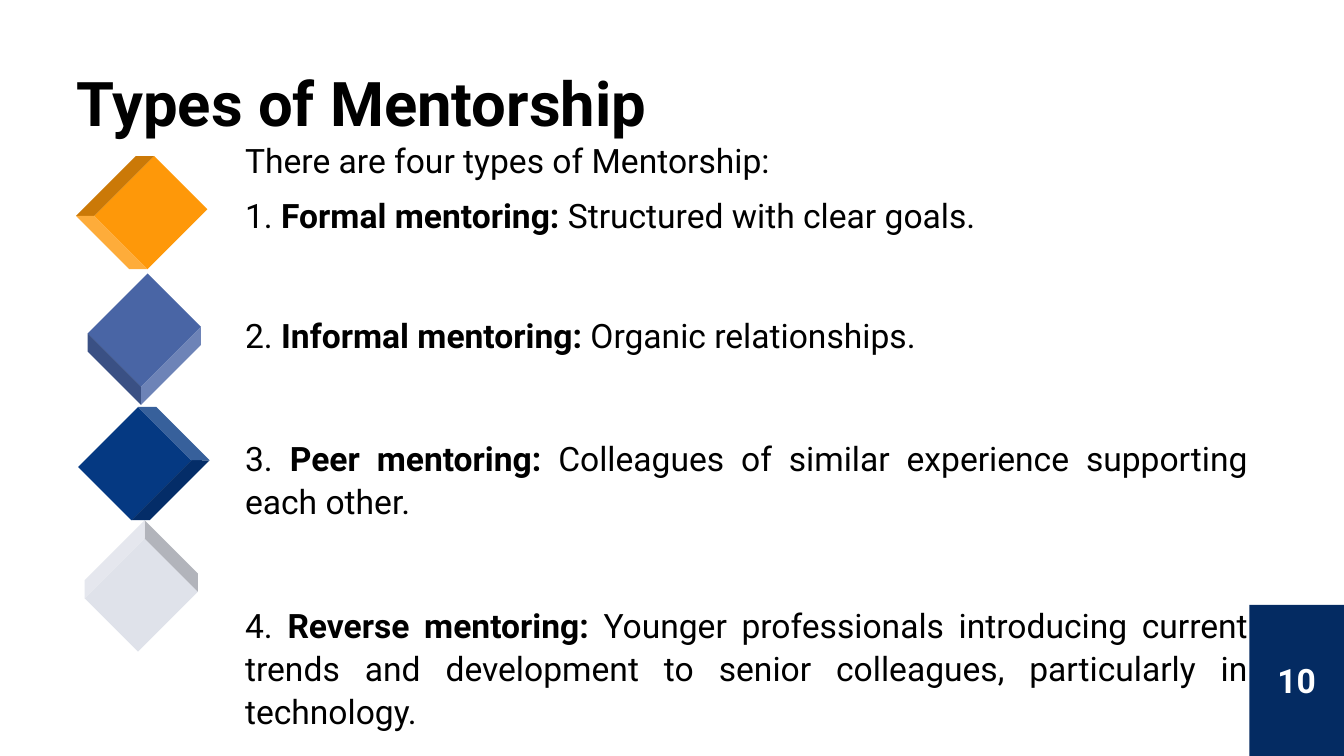
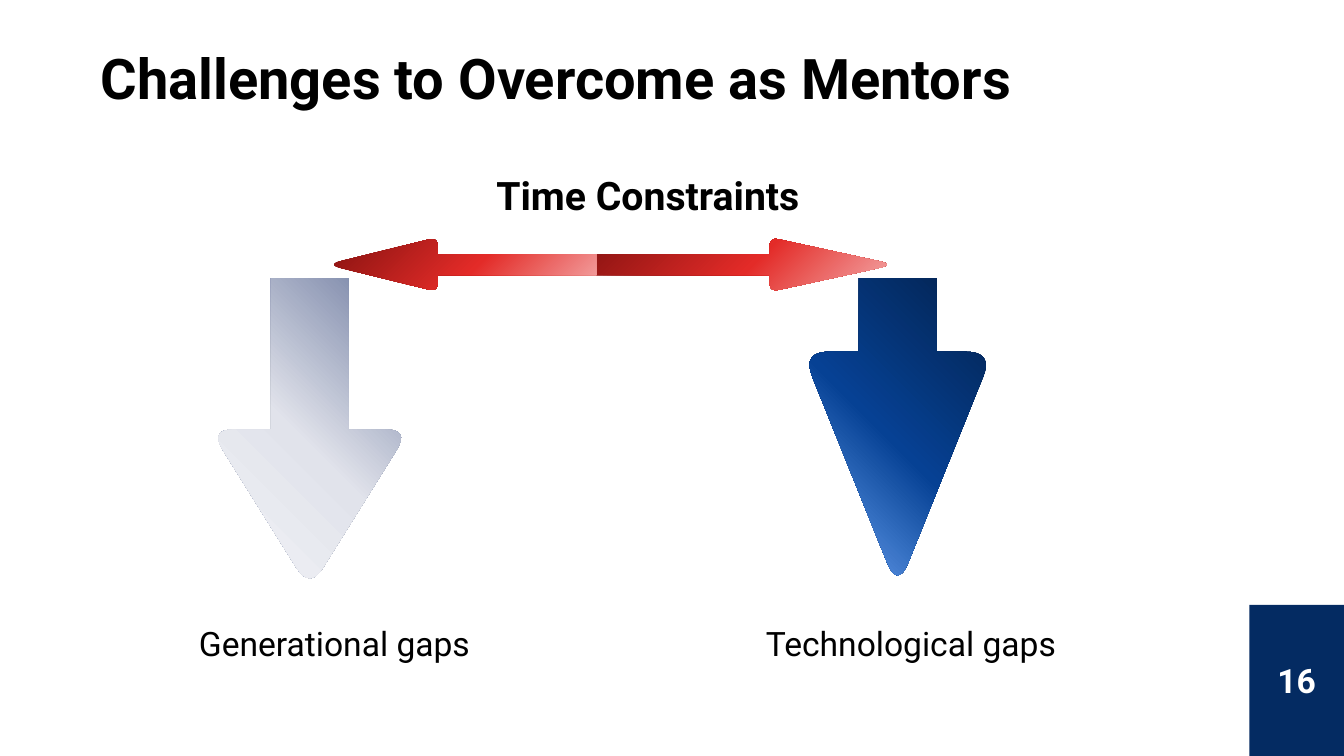
from math import hypot

from lxml import etree
from pptx import Presentation
from pptx.dml.color import RGBColor
from pptx.enum.shapes import MSO_SHAPE
from pptx.enum.text import MSO_ANCHOR, PP_ALIGN
from pptx.oxml import parse_xml
from pptx.oxml.ns import nsdecls, qn
from pptx.util import Emu, Pt

EMU_PER_PX = 9525
CUBE, RECT = MSO_SHAPE.CUBE, MSO_SHAPE.RECTANGLE
TOP, MIDDLE = MSO_ANCHOR.TOP, MSO_ANCHOR.MIDDLE
LEFT, CENTER, JUSTIFY = PP_ALIGN.LEFT, PP_ALIGN.CENTER, PP_ALIGN.JUSTIFY

FONT = "Roboto"
BLACK, WHITE, NAVY = "000000", "FFFFFF", "042B62"
ORANGE, BLUE, DARK_BLUE, PALE = "FE9809", "4965A5", "053982", "DFE2EA"
# Gradients run from the light corner outwards
RED_FADE = ("F3A6A5", "E32B28", "881311")
GREY_FADE = ("F2F3F7", "E1E3EB", "717EA2")
BLUE_FADE = ("6FA8F9", "064194", "03224E")


def px(n):
    return Emu(round(n * EMU_PER_PX))


def rgb(hex_string):
    return RGBColor.from_string(hex_string)


def rounded(corners, steps=8):
    """Turn (x, y, radius) corners into outline points with curved corners."""
    points = []
    for i, (x, y, radius) in enumerate(corners):
        if not radius:
            points.append((x, y))
            continue
        ends = []
        for nx, ny, _ in (corners[i - 1], corners[(i + 1) % len(corners)]):
            t = radius / hypot(nx - x, ny - y)
            ends.append((x + (nx - x) * t, y + (ny - y) * t))
        (ax, ay), (bx, by) = ends
        for k in range(steps + 1):
            t = k / steps
            a, c, b = (1 - t) ** 2, 2 * t * (1 - t), t ** 2
            points.append((a * ax + c * x + b * bx, a * ay + c * y + b * by))
    return points


class Deck:
    def __init__(self):
        self.prs = Presentation()
        self.prs.slide_width, self.prs.slide_height = px(1280), px(720)
        self.s = None

    def slide(self, number):
        self.s = self.prs.slides.add_slide(self.prs.slide_layouts[6])
        sp = self.shape(RECT, 1190, 576, 90, 144, NAVY)
        sp.text_frame.vertical_anchor = MIDDLE
        sp.text_frame.text = str(number)
        self.style(sp.text_frame.paragraphs[0], 24, True, CENTER, WHITE)

    def style(self, p, size, bold=False, align=LEFT, color=BLACK):
        p.alignment = align
        for r in p.runs:
            r.font.name, r.font.size, r.font.bold = FONT, Pt(size), bold
            r.font.color.rgb = rgb(color)

    def text_box(self, x, y, w, h, anchor=TOP):
        tf = self.s.shapes.add_textbox(px(x), px(y), px(w), px(h)).text_frame
        tf.word_wrap = True
        tf.vertical_anchor = anchor
        return tf

    def label(self, text, x, y, w, h, size=24, bold=False, align=LEFT):
        tf = self.text_box(x, y, w, h)
        tf.text = text
        self.style(tf.paragraphs[0], size, bold, align)

    def title(self, text, x, y, size):
        tf = self.text_box(x, y, 1055, 75, MIDDLE)
        tf.margin_left = tf.margin_right = 0
        tf.margin_top = tf.margin_bottom = px(7)
        tf.text = text
        p = tf.paragraphs[0]
        p.line_spacing = 1.5
        self.style(p, size, True)

    def numbered(self, intro, items, x, y, w, h):
        """Write an intro and numbered (space before, term, meaning) items."""
        tf = self.text_box(x, y, w, h)
        tf.text = intro
        for i, (gap, term, meaning) in enumerate(items, 1):
            p = tf.add_paragraph()
            p.space_before = Pt(gap)
            for part in (f"{i}. ", term, f" {meaning}"):
                p.add_run().text = part
        for p in tf.paragraphs:
            p.line_spacing, p.space_after = 1.07, Pt(8)
            self.style(p, 24, align=JUSTIFY)
            if len(p.runs) > 1:
                p.runs[1].font.bold = True

    def shape(self, kind, x, y, w, h, color):
        sp = self.s.shapes.add_shape(kind, px(x), px(y), px(w), px(h))
        sp.shadow.inherit = False
        sp.fill.solid()
        sp.fill.fore_color.rgb = rgb(color)
        sp.line.fill.background()
        return sp

    def cube(self, x, y, w, h, rotation, color):
        sp = self.shape(CUBE, x, y, w, h, color)
        sp.adjustments[0] = 0.146
        sp.rotation = rotation

    def arrow(self, start, shoulder, tip, center, half_shaft, half_head,
              radius, tip_radius, colors, down=False):
        """Draw an arrow along x, or along y when down is set."""
        side = [(start, half_shaft, 0), (shoulder, half_shaft, 0),
                (shoulder, half_head, radius)]
        corners = [(a, center - b, r) for a, b, r in side]
        corners.append((tip, center, tip_radius))
        corners += [(a, center + b, r) for a, b, r in reversed(side)]
        if down:
            corners = [(b, a, r) for a, b, r in corners]
        points = [(px(x), px(y)) for x, y in rounded(corners)]
        builder = self.s.shapes.build_freeform(*points[0])
        builder.add_line_segments(points[1:])
        sp = builder.convert_to_shape()
        sp.shadow.inherit = False
        sp.line.fill.background()
        self.corner_gradient(sp, colors, "left" if down else "right")

    def corner_gradient(self, sp, colors, corner):
        """Fill with a gradient spreading from a bottom corner."""
        grad = parse_xml(f'<a:gradFill {nsdecls("a")} rotWithShape="1"><a:gsLst/>'
                         '<a:path path="circle"><a:fillToRect/></a:path></a:gradFill>')
        for pos, color in zip((0, 46, 100), colors):
            gs = etree.SubElement(grad[0], qn("a:gs"), pos=str(pos * 1000))
            etree.SubElement(gs, qn("a:srgbClr"), val=color)
        grad[1][0].set("t", "100000")
        grad[1][0].set("r" if corner == "left" else "l", "100000")
        sp.element.spPr.find(qn("a:custGeom")).addnext(grad)


def types_slide(deck):
    deck.slide(10)
    deck.title("Types of Mentorship", 73, 42, 44)
    deck.numbered("There are four types of Mentorship:", [
        (0, "Formal mentoring:", "Structured with clear goals."),
        (47, "Informal mentoring:", "Organic relationships."),
        (49, "Peer mentoring:",
         "Colleagues of similar experience supporting each other."),
        (50, "Reverse mentoring:",
         "Younger professionals introducing current trends and development "
         "to senior colleagues, particularly in technology."),
    ], 224, 126, 974, 565)
    deck.cube(91, 281, 93, 84, 135, BLUE)
    deck.cube(93, 156, 84, 93, 225, ORANGE)
    deck.cube(88, 516, 93, 84, 315, PALE)
    deck.cube(95, 395, 84, 93, 45, DARK_BLUE)


def challenges_slide(deck):
    deck.slide(16)
    deck.title("Challenges to Overcome as Mentors", 96, 20, 40)
    deck.label("Time Constraints", 417, 158, 400, 60, 28, True, CENTER)
    deck.label("Generational gaps", 180, 589, 318, 48)
    deck.label("Technological gaps", 720, 589, 329, 48)
    deck.arrow(561, 733, 852, 252, 10, 26, 9, 15, RED_FADE)
    deck.arrow(265, 409, 561, 295, 37, 95, 23, 24, GREY_FADE, down=True)
    deck.arrow(265, 335, 561, 855, 37, 91, 26, 28, BLUE_FADE, down=True)
    deck.arrow(568, 417, 311, 252, 10, 26, 9, 15, RED_FADE)


def main():
    deck = Deck()
    types_slide(deck)
    challenges_slide(deck)
    deck.prs.save("out.pptx")


if __name__ == "__main__":
    main()
